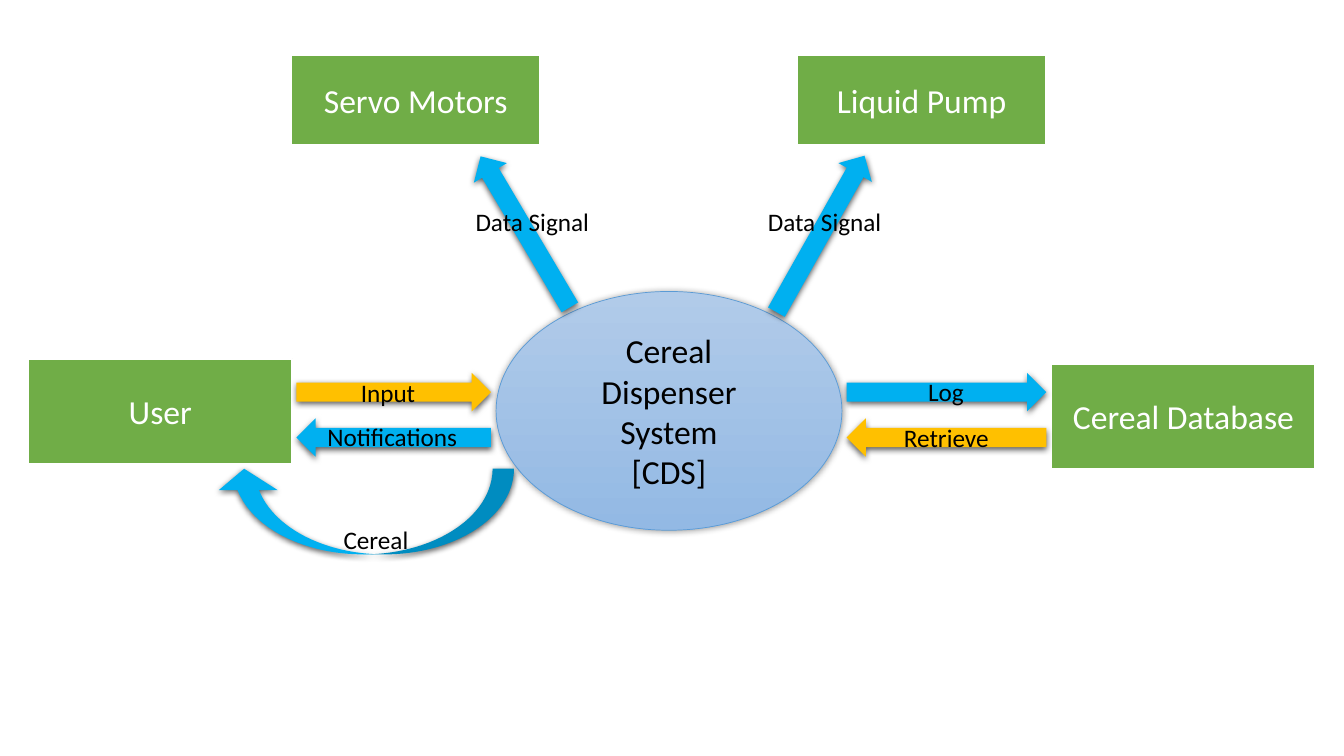
import pptx
import pptx.util
import pptx.dml.color
import pptx.enum.shapes
import pptx.enum.text
from lxml import etree

Pt = pptx.util.Pt
RGB = pptx.dml.color.RGBColor
SHAPE = pptx.enum.shapes.MSO_SHAPE
ALIGN = pptx.enum.text.PP_ALIGN
ANCHOR = pptx.enum.text.MSO_ANCHOR
AUTO = pptx.enum.text.MSO_AUTO_SIZE

GREEN = RGB(0x70, 0xAD, 0x47)
BLUE = RGB(0x00, 0xB0, 0xF0)
AMBER = RGB(0xFF, 0xC0, 0x00)
OUTLINE = RGB(0x5B, 0x9B, 0xD5)
SYSTEM_TOP = RGB(0xB1, 0xCB, 0xE9)
SYSTEM_BOTTOM = RGB(0x93, 0xB9, 0xE4)
WHITE = RGB(255, 255, 255)
BLACK = RGB(0, 0, 0)

SYSTEM = (["Cereal Dispenser System", "[CDS]"], (354.4, 208.2, 247, 170.6))
DEVICE, PARTY = (177.8, 64), (188.6, 74.9)
# text, left, top, size
ENTITIES = [
    ("User", 20.2, 256.3, PARTY),
    ("Servo Motors", 208.1, 39.6, DEVICE),
    ("Liquid Pump", 569.5, 39.6, DEVICE),
    ("Cereal Database", 751, 259.9, PARTY),
]
ARROW_HEIGHT = 27.4
# left, top, length, rotation, colour
ARROWS = [
    (211.7, 266.4, 139, 0, AMBER),
    (211.7, 298.8, 139, 180, BLUE),
    (604.8, 266.4, 142.6, 0, BLUE),
    (604.8, 298.8, 142.6, 180, AMBER),
    (312.5, 151.9, 125.3, 239.4, BLUE),
    (522, 153.4, 128.2, 299.4, BLUE),
]
CEREAL_ARROW = (153.4, 334.8, 213.8, 61.2)
CEREAL_ADJUST = (0.25, 0.687, 0.25)
LABEL_HEIGHT = 29.1
# text, left, top, width
LABELS = [
    ("Input", 250.6, 265.7, 54),
    ("Notifications", 226.8, 297.4, 108.7),
    ("Log", 655.9, 265.3, 40.3),
    ("Retrieve", 638.6, 298.1, 75.6),
    ("Data Signal", 332.6, 144, 96.5),
    ("Data Signal", 541.4, 144, 96.5),
    ("Cereal", 238.3, 370.8, 61.2),
]
SYSTEM_SHADOW = dict(blur=5, dist=0, angle=0, alpha=40)
ARROW_SHADOW = dict(blur=4.5, dist=1.5, angle=90, alpha=63)
A = "{http://schemas.openxmlformats.org/drawingml/2006/main}"


def add_shape(kind, box, color=None, line=None, width=0):
    sp = s.shapes.add_shape(kind, *map(Pt, box))
    sp.shadow.inherit = False
    if color is not None:
        sp.fill.solid()
        sp.fill.fore_color.rgb = color
    if line is None:
        sp.line.fill.background()
    else:
        sp.line.color.rgb = line
        sp.line.width = Pt(width)
    return sp


def add_shadow(sp, blur, dist, angle, alpha):
    effects = sp._element.spPr.find(A + "effectLst")
    outer = etree.SubElement(effects, A + "outerShdw", blurRad=str(Pt(blur)),
                             dist=str(Pt(dist)), dir=str(angle * 60000),
                             algn="ctr", rotWithShape="0")
    color = etree.SubElement(outer, A + "srgbClr", val=str(BLACK))
    etree.SubElement(color, A + "alpha", val=str(alpha * 1000))


def write(sp, lines, color, size, align):
    tf = sp.text_frame
    for i, text in enumerate(lines):
        p = tf.paragraphs[0] if i == 0 else tf.add_paragraph()
        p.alignment = align
        r = p.add_run()
        r.text = text
        r.font.color.rgb = color
        for key, value in {"name": "Calibri", "size": Pt(size)}.items():
            setattr(r.font, key, value)
    return tf


prs = pptx.Presentation()
prs.slide_width, prs.slide_height = Pt(960), Pt(540)
s = prs.slides.add_slide(prs.slide_layouts[6])

lines, box = SYSTEM
system = add_shape(SHAPE.OVAL, box, line=OUTLINE, width=0.5)
system.fill.gradient()
system.fill.gradient_angle = 270
for stop, color in zip(system.fill.gradient_stops, (SYSTEM_TOP, SYSTEM_BOTTOM)):
    stop.color.rgb = color
add_shadow(system, **SYSTEM_SHADOW)
write(system, lines, BLACK, 24, ALIGN.CENTER).vertical_anchor = ANCHOR.MIDDLE

for text, left, top, size in ENTITIES:
    sp = add_shape(SHAPE.RECTANGLE, (left, top, *size), GREEN, WHITE, 1.5)
    write(sp, [text], WHITE, 24, ALIGN.CENTER).vertical_anchor = ANCHOR.MIDDLE

for left, top, length, rotation, color in ARROWS:
    sp = add_shape(SHAPE.RIGHT_ARROW, (left, top, length, ARROW_HEIGHT), color)
    sp.rotation = rotation
    add_shadow(sp, **ARROW_SHADOW)

cereal = add_shape(SHAPE.CURVED_UP_ARROW, CEREAL_ARROW, BLUE)
for i, value in enumerate(CEREAL_ADJUST):
    cereal.adjustments[i] = value
cereal._element.spPr.find(A + "xfrm").set("flipH", "1")
add_shadow(cereal, **ARROW_SHADOW)

for text, left, top, width in LABELS:
    sp = s.shapes.add_textbox(*map(Pt, (left, top, width, LABEL_HEIGHT)))
    tf = write(sp, [text], BLACK, 18, ALIGN.LEFT)
    for key, value in {"word_wrap": False, "auto_size": AUTO.SHAPE_TO_FIT_TEXT}.items():
        setattr(tf, key, value)

prs.save("out.pptx")
